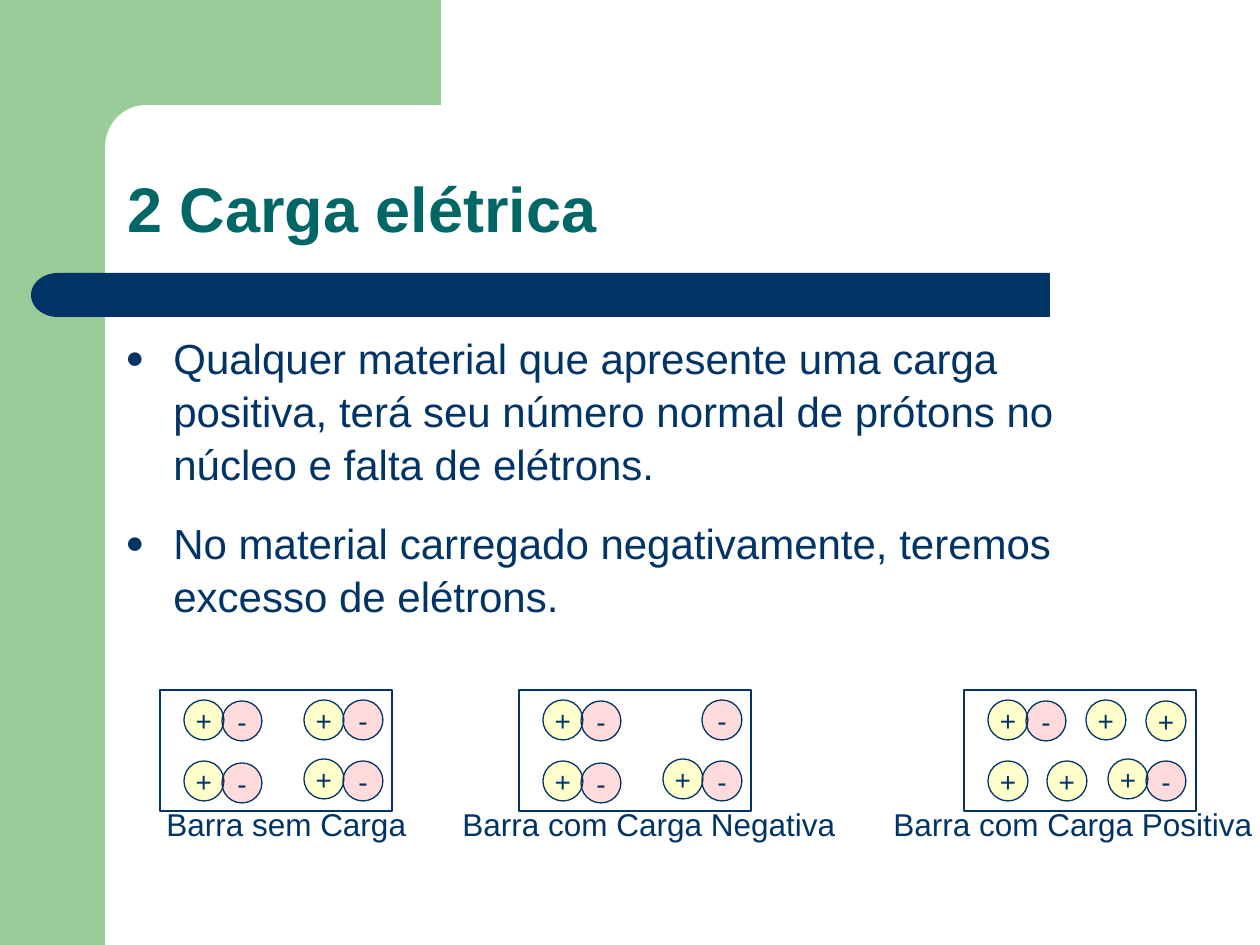
import math

import pptx
import pptx.dml.color
import pptx.enum.shapes
import pptx.enum.text
import pptx.oxml
import pptx.oxml.ns
import pptx.util

SCALE = 914400 / 126
NAVY, TEAL, GREEN = "003366", "006666", "99CC99"
KIND = pptx.enum.shapes.MSO_SHAPE
ALIGN = pptx.enum.text.PP_ALIGN
ANCHOR = pptx.enum.text.MSO_ANCHOR

# Fill colour and opacity in percent for each sign
INK = {"+": ("FFFF99", 50), "-": ("FF0000", 14)}

# Charges inside a bar: sign, left and top from the corner of the bar
PAIR = [("+", 24, 10), ("-", 62, 11)]
BASE = PAIR + [("-", 183, 10), ("+", 24, 71), ("-", 62, 73),
               ("+", 144, 69), ("-", 183, 71)]
PLUS = PAIR + [("+", 122, 10), ("+", 182, 11), ("+", 24, 71),
               ("+", 83, 71), ("+", 144, 69), ("-", 182, 71)]

# Bars: left, charges, caption, left and width of the caption
BARS = [
    (160, [("+", 144, 10)] + BASE, "Barra sem Carga", 154, 265),
    (519, BASE, "Barra com Carga Negativa", 450, 398),
    (964, PLUS, "Barra com Carga Positiva", 881, 384),
]

POINTS = [
    "Qualquer material que apresente uma carga positiva, terá seu número "
    "normal de prótons no núcleo e falta de elétrons.",
    "No material carregado negativamente, teremos excesso de elétrons.",
]


def px(num):
    return pptx.util.Emu(round(num * SCALE))


def color(code):
    return pptx.dml.color.RGBColor.from_string(code)


def child(node, tag, **attrs):
    item = pptx.oxml.ns.qn(tag)
    part = node.makeelement(item, attrs)
    node.append(part)
    return part


def paint(shape, fill=None, line=None):
    shape.shadow.inherit = False
    if fill:
        shape.fill.solid()
        shape.fill.fore_color.rgb = color(fill)
    else:
        shape.fill.background()
    if line:
        shape.line.color.rgb = color(line)
        shape.line.width = pptx.util.Pt(0.75)
    else:
        shape.line.fill.background()


def block(slide, kind, box, fill=None, line=None):
    shape = slide.shapes.add_shape(kind, *map(px, box))
    paint(shape, fill, line)
    return shape


def style(para, size, ink=NAVY, bold=False):
    for run in para.runs:
        run.font.name = "Arial"
        run.font.size = pptx.util.Pt(size)
        run.font.bold = bold
        run.font.color.rgb = color(ink)


def label(slide, box, text, size, wrap=True):
    frame = slide.shapes.add_textbox(*map(px, box)).text_frame
    frame.word_wrap = wrap
    frame.text = text
    for para in frame.paragraphs:
        style(para, size)
    return frame


def bullet(para):
    para.space_before = pptx.util.Pt(15)
    para.line_spacing = 1.05
    props = para._p.get_or_add_pPr()
    props.set("marL", str(px(48)))
    props.set("indent", str(px(-48)))
    child(child(props, "a:buClr"), "a:srgbClr", val=NAVY)
    child(props, "a:buSzPct", val="75000")
    child(props, "a:buFont", typeface="Arial")
    child(props, "a:buChar", char="●")


def frame_art(slide):
    # Side band and the top block with its rounded inner corner
    block(slide, KIND.RECTANGLE, (0, 0, 105, 945), GREEN)
    turns = [math.radians(90 - 5 * step) for step in range(19)]
    curve = [(146 - 41 * math.cos(turn), 147 - 42 * math.sin(turn))
             for turn in turns]
    edge = [(441, 105)] + curve + [(105, 161), (63, 161), (63, 0)]
    build = slide.shapes.build_freeform(px(441), 0)
    build.add_line_segments([(px(x), px(y)) for x, y in edge], close=True)
    paint(build.convert_to_shape(), GREEN)

    # Rule under the title with a round left end
    block(slide, KIND.RECTANGLE, (84, 273, 966, 44), NAVY)
    cap = block(slide, KIND.FLOWCHART_DELAY, (31, 273, 54, 44), NAVY)
    cap._element.spPr.xfrm.set("flipH", "1")


def charge(slide, sign, left, top):
    fill, alpha = INK[sign]
    dot = block(slide, KIND.OVAL, (left, top, 40, 40), fill, NAVY)
    tone = dot._element.spPr.find(".//" + pptx.oxml.ns.qn("a:srgbClr"))
    child(tone, "a:alpha", val=str(alpha * 1000))
    frame = dot.text_frame
    frame.word_wrap = False
    frame.vertical_anchor = ANCHOR.MIDDLE
    frame.text = sign
    para = frame.paragraphs[0]
    para.alignment = ALIGN.CENTER
    style(para, 16)


def bar(slide, left, dots, text, start, width):
    top = 690
    block(slide, KIND.RECTANGLE, (left, top, 232, 121), line=NAVY)
    for sign, dx, dy in dots:
        charge(slide, sign, left + dx, top + dy)
    label(slide, (start, 799, width, 50), text, 18, wrap=False)


def main():
    deck = pptx.Presentation()
    deck.slide_width, deck.slide_height = px(1260), px(945)
    slide = deck.slides.add_slide(deck.slide_layouts[6])
    frame_art(slide)

    # Title
    title = label(slide, (115, 115, 1072, 137), "2 Carga elétrica", 36)
    title.vertical_anchor = ANCHOR.BOTTOM
    title.paragraphs[0].line_spacing = 0.9
    style(title.paragraphs[0], 36, TEAL, True)

    # Bullet points
    body = label(slide, (113, 324, 1059, 345), "\n".join(POINTS), 24)
    for para in body.paragraphs:
        bullet(para)

    # Charged bars
    for item in BARS:
        bar(slide, *item)
    deck.save("out.pptx")


if __name__ == "__main__":
    main()
